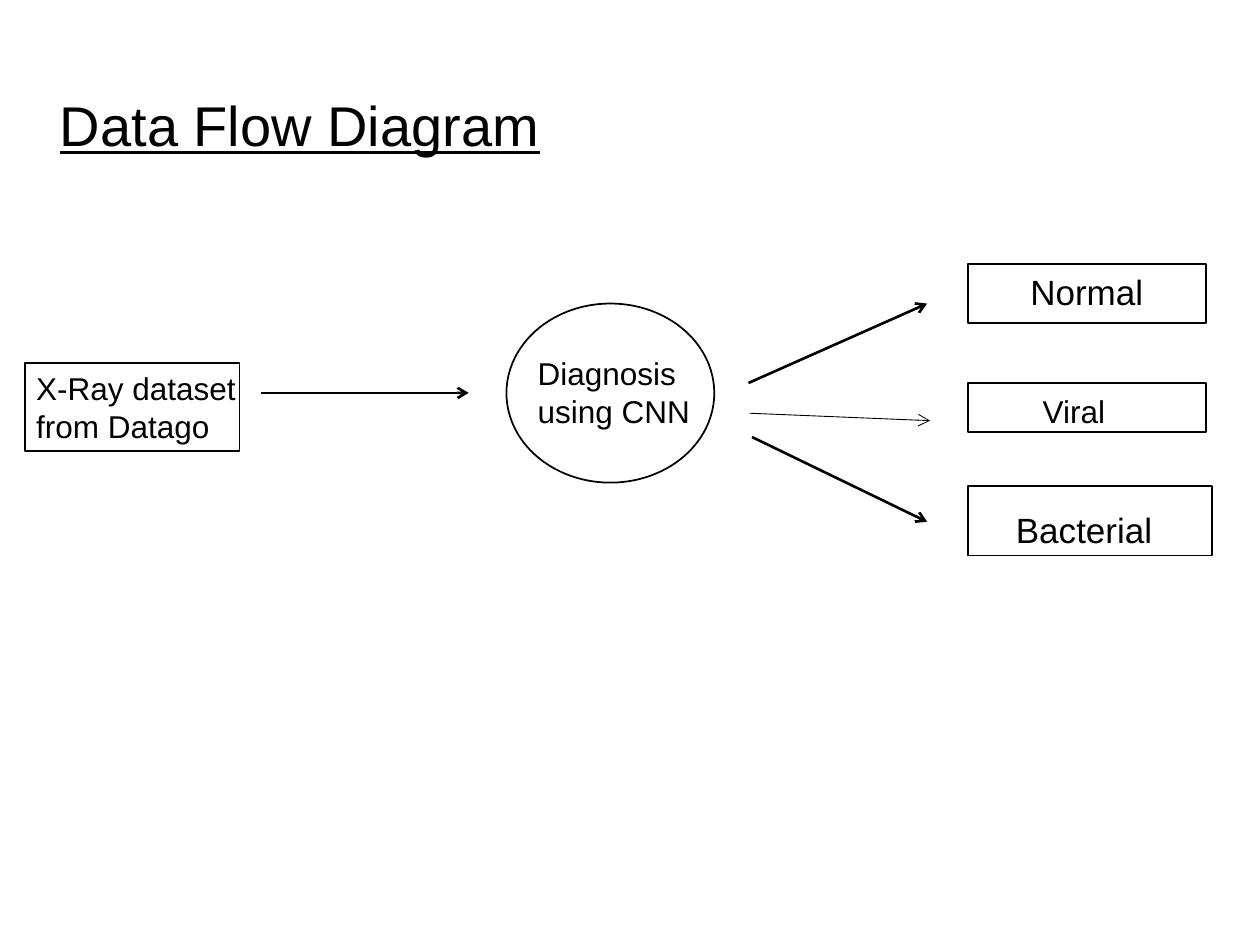
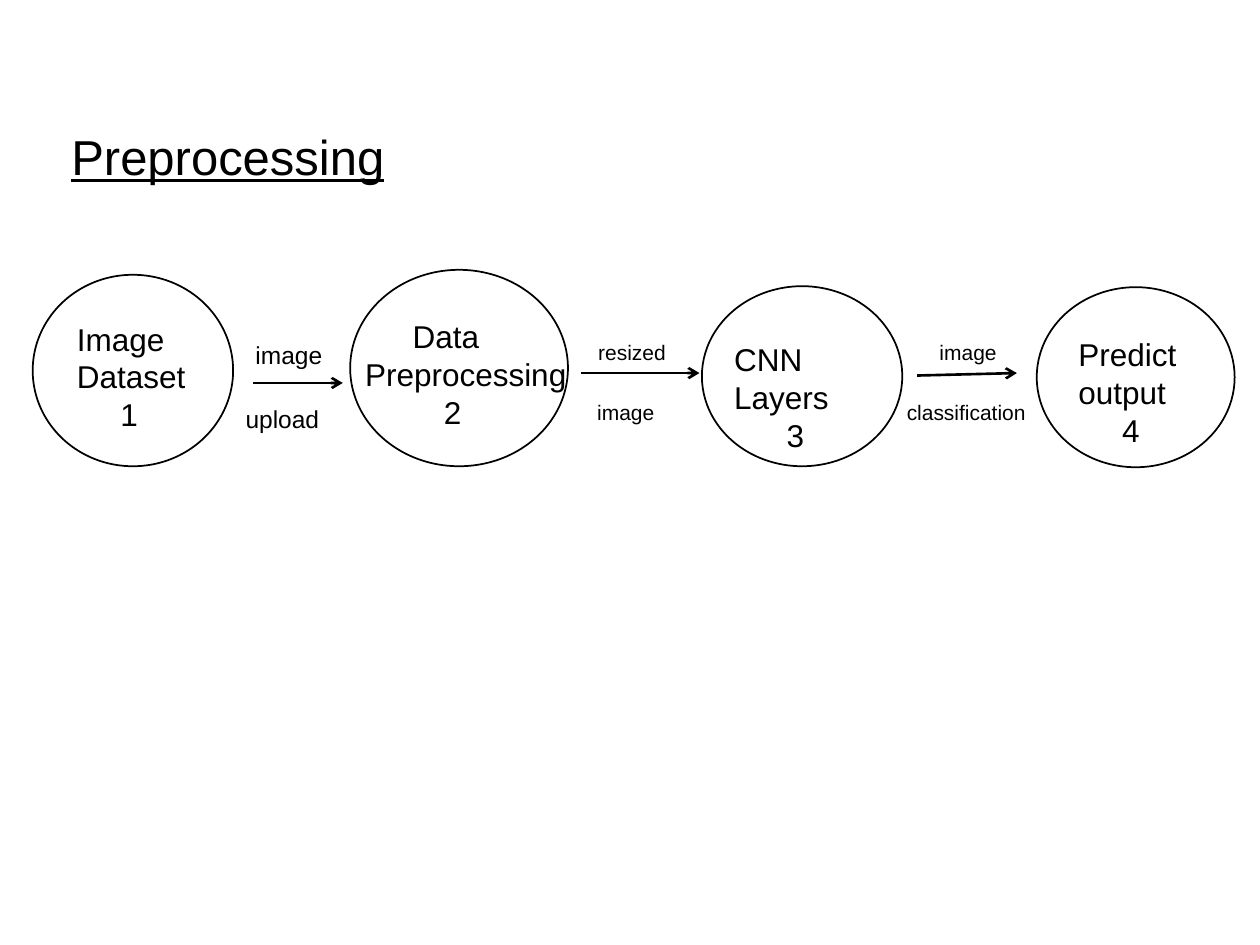
from lxml import etree
from pptx import Presentation
from pptx.dml.color import RGBColor
from pptx.enum.shapes import MSO_CONNECTOR, MSO_SHAPE
from pptx.enum.text import MSO_ANCHOR, PP_ALIGN
from pptx.oxml.ns import qn
from pptx.util import Cm, Pt

RECTANGLE, ELLIPSE = MSO_SHAPE.RECTANGLE, MSO_SHAPE.OVAL
STRAIGHT = MSO_CONNECTOR.STRAIGHT
LEFT, CENTER = PP_ALIGN.LEFT, PP_ALIGN.CENTER
MIDDLE = MSO_ANCHOR.MIDDLE
BLACK = RGBColor(0, 0, 0)
WHITE = RGBColor(255, 255, 255)
FONT = "Arial"

# All places are in cm: left, top, width, height.
# Node: outline, its place, label place, size, (line, first-line indent) pairs
# Arrow: start, end, line width
# Caption: text, place, size
SLIDES = [
    {
        "title": ("Data Flow Diagram", (0.51, 1.52, 11.07, 1.98), 32, CENTER),
        "nodes": [
            (RECTANGLE, (19.51, 5.33, 4.8, 1.19), (20.52, 5.33, 2.9, 1.12), 20,
             [("Normal", 0)]),
            (RECTANGLE, (19.51, 9.8, 4.93, 1.4), (19.84, 10.13, 4.47, 1.12), 20,
             [("Bacterial", 0.39)]),
            (ELLIPSE, (10.21, 6.12, 4.19, 3.61), (10.59, 7.01, 4.52, 1.8), 18,
             [("Diagnosis", 0), ("using CNN", 0)]),
            (RECTANGLE, (0.51, 7.32, 4.32, 1.78), (0.48, 7.32, 4.78, 1.8), 18,
             [("X-Ray dataset from Datago", 0)]),
            (RECTANGLE, (19.51, 7.72, 4.8, 0.99), (19.89, 7.77, 3.61, 1.02), 18,
             [("Viral", 0.88)]),
        ],
        "arrows": [
            ((5.26, 7.92), (9.45, 7.92), 1.5),
            ((15.09, 7.72), (18.69, 6.12), 1.5),
            ((15.16, 8.81), (18.69, 10.52), 1.5),
            ((15.11, 8.33), (18.75, 8.48), 0.5),
        ],
        "captions": [],
    },
    {
        "title": ("Preprocessing", (1.19, 2.41, 7.44, 1.45), 28, LEFT),
        "nodes": [
            (ELLIPSE, (0.66, 5.54, 4.04, 3.86), (1.3, 6.32, 2.72, 2.57), 18,
             [("Image Dataset", 0), ("1", 0.88)]),
            (ELLIPSE, (7.06, 5.44, 4.39, 3.96), (7.11, 6.27, 4.95, 2.57), 18,
             [("Data Preprocessing", 0.96), ("2", 1.59)]),
            (ELLIPSE, (14.15, 5.77, 4.04, 3.63), (14.55, 6.73, 3.3, 2.57), 18,
             [("CNN Layers", 0), ("3", 1.06)]),
            (ELLIPSE, (20.9, 5.79, 3.99, 3.63), (21.49, 6.63, 3.25, 2.57), 18,
             [("Predict output", 0), ("4", 0.88)]),
        ],
        "arrows": [
            ((5.11, 7.72), (6.91, 7.72), 1.5),
            ((11.71, 7.52), (14.1, 7.52), 1.5),
            ((18.49, 7.57), (20.5, 7.52), 1.5),
        ],
        "captions": [
            ("image", (4.9, 6.73, 2.08, 0.86), 14),
            ("upload", (4.7, 8.03, 3.3, 0.86), 14),
            ("resized", (11.81, 6.73, 2.01, 0.76), 12),
            ("image", (11.79, 7.92, 1.96, 0.76), 12),
            ("image", (18.69, 6.73, 1.96, 0.76), 12),
            ("classification", (18.03, 7.92, 2.92, 0.76), 12),
        ],
    },
]


def lengths(values):
    return [Cm(value) for value in values]


def add_text(page, place, lines, size):
    box = page.shapes.add_textbox(*lengths(place))
    frame = box.text_frame
    frame.word_wrap = True
    frame.text = "\n".join(line for line, _ in lines)
    for para, (_, indent) in zip(frame.paragraphs, lines):
        if indent:
            settings = para._p.get_or_add_pPr()
            settings.set("marL", "0")
            settings.set("indent", str(Cm(indent)))
        for span in para.runs:
            span.font.name = FONT
            span.font.size = Pt(size)
            span.font.color.rgb = BLACK
    return frame


def add_title(page, text, place, size, alignment):
    frame = add_text(page, place, [(text, 0)], size)
    frame.vertical_anchor = MIDDLE
    para = frame.paragraphs[0]
    para.alignment = alignment
    para.runs[0].font.underline = True


def add_node(page, outline, place, label_place, size, lines):
    shape = page.shapes.add_shape(outline, *lengths(place))
    shape.shadow.inherit = False
    shape.fill.solid()
    shape.fill.fore_color.rgb = WHITE
    shape.line.color.rgb = BLACK
    shape.line.width = Pt(1)
    add_text(page, label_place, lines, size)


def add_arrow(page, start, end, width):
    arrow = page.shapes.add_connector(STRAIGHT, *lengths(start + end))
    arrow.line.color.rgb = BLACK
    arrow.line.width = Pt(width)
    etree.SubElement(arrow.line._get_or_add_ln(), qn("a:tailEnd"), type="arrow")
    etree.SubElement(arrow._element.spPr, qn("a:effectLst"))


deck = Presentation()
deck.slide_width, deck.slide_height = Cm(25.4), Cm(19.05)
blank = deck.slide_layouts[6]

for content in SLIDES:
    page = deck.slides.add_slide(blank)
    add_title(page, *content["title"])
    for node in content["nodes"]:
        add_node(page, *node)
    for arrow in content["arrows"]:
        add_arrow(page, *arrow)
    for text, place, size in content["captions"]:
        add_text(page, place, [(text, 0)], size)

deck.save("out.pptx")
